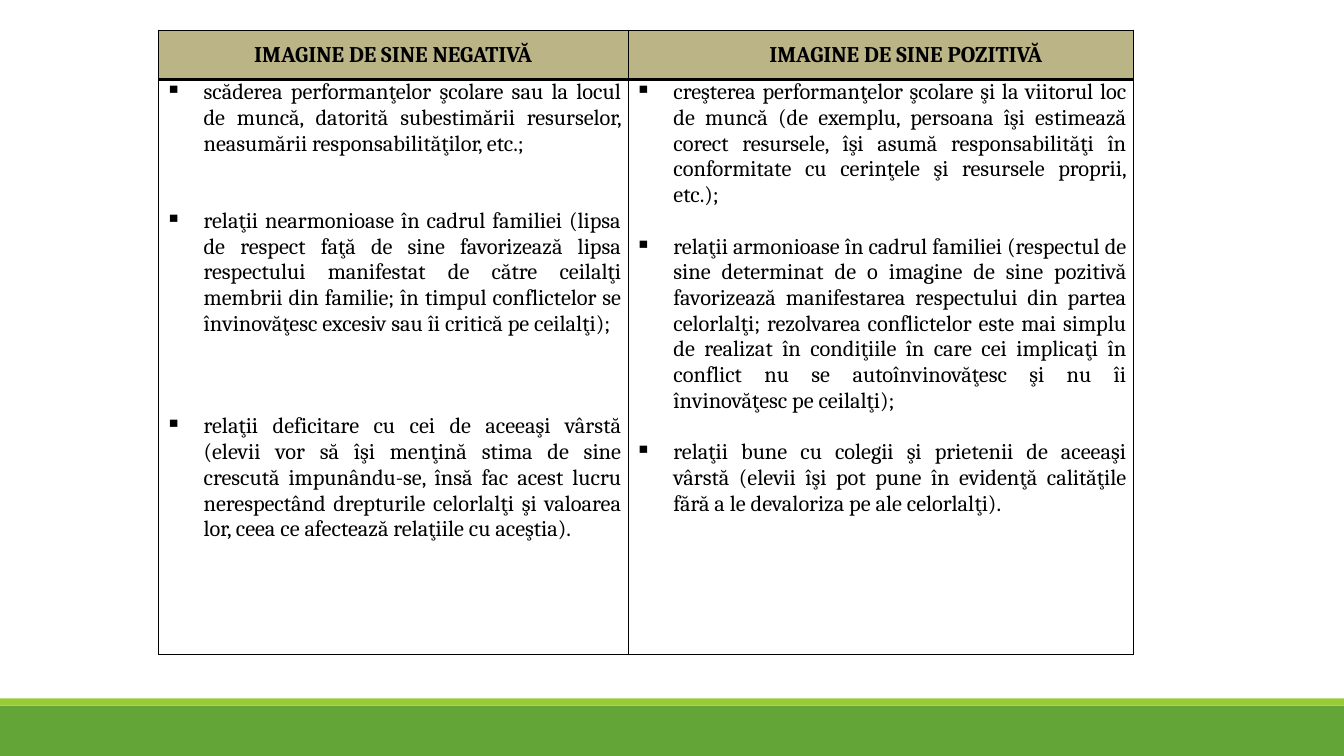
"""Build a slide comparing negative and positive self-image."""
from dataclasses import dataclass

from lxml import etree
from pptx import Presentation
from pptx import util as u
from pptx.dml.color import RGBColor
from pptx.enum import shapes, text
from pptx.oxml.ns import qn

COLORS = {"green": "63A537", "lime": "99CB38", "khaki": "BBB487",
          "white": "FFFFFF", "black": "000000"}
FONT = "Cambria"
FONT_SIZE = 16
LINE_PITCH = 18.35
HANGING = 0.38
ROW_HEIGHTS = (0.49, 5.7)


@dataclass
class Band:
    top: float
    height: float
    color: str


@dataclass
class Bullet:
    text: str
    lines_before: int = 0


@dataclass
class Column:
    heading: str
    width: float
    heading_indent: float
    bullets: list[Bullet]


BANDS = [Band(7, 0.5, "green"), Band(6.93, 0.07, "lime")]

COLUMNS = [
    Column("IMAGINE DE SINE NEGATIVĂ", 4.66, 0, [
        Bullet("scăderea performanţelor şcolare sau la locul de muncă, datorită "
               "subestimării resurselor, neasumării responsabilităţilor, etc.;"),
        Bullet("relaţii nearmonioase în cadrul familiei (lipsa de respect faţă de sine "
               "favorizează lipsa respectului manifestat de către ceilalţi membrii din "
               "familie; în timpul conflictelor se învinovăţesc excesiv sau îi critică "
               "pe ceilalţi);", 2),
        Bullet("relaţii deficitare cu cei de aceeaşi vârstă (elevii vor să îşi menţină "
               "stima de sine crescută impunându-se, însă fac acest lucru nerespectând "
               "drepturile celorlalţi şi valoarea lor, ceea ce afectează relaţiile cu "
               "aceştia).", 3),
    ]),
    Column("IMAGINE DE SINE POZITIVĂ", 5.01, 0.5, [
        Bullet("creşterea performanţelor şcolare şi la viitorul loc de muncă (de exemplu, "
               "persoana îşi estimează corect resursele, îşi asumă responsabilităţi în "
               "conformitate cu cerinţele şi resursele proprii, etc.);"),
        Bullet("relaţii armonioase în cadrul familiei (respectul de sine determinat de o "
               "imagine de sine pozitivă favorizează manifestarea respectului din partea "
               "celorlalţi; rezolvarea conflictelor este mai simplu de realizat în "
               "condiţiile în care cei implicaţi în conflict nu se autoînvinovăţesc şi "
               "nu îi învinovăţesc pe ceilalţi);", 1),
        Bullet("relaţii bune cu colegii şi prietenii de aceeaşi vârstă (elevii îşi pot "
               "pune în evidenţă calităţile fără a le devaloriza pe ale celorlalţi).", 1),
    ]),
]


def rgb(name: str) -> RGBColor:
    """Return the named colour."""
    return RGBColor.from_string(COLORS[name])


def add_band(s, band: Band, width: int) -> None:
    """Draw one full-width strip."""
    sp = s.shapes.add_shape(shapes.MSO_SHAPE.RECTANGLE, 0, u.Inches(band.top),
                            width, u.Inches(band.height))
    sp.shadow.inherit = False
    sp.fill.solid()
    sp.fill.fore_color.rgb = rgb(band.color)
    sp.line.fill.background()


def format_cell(cell, fill: str, top: float, bottom: float) -> None:
    """Set the borders, margins and fill of a cell."""
    tc_pr = cell._tc.get_or_add_tcPr()
    for side, width in {"L": 1, "R": 1, "T": top, "B": bottom}.items():
        ln = etree.SubElement(tc_pr, qn(f"a:ln{side}"), w=str(u.Pt(width)))
        solid = etree.SubElement(ln, qn("a:solidFill"))
        etree.SubElement(solid, qn("a:srgbClr"), val=COLORS["black"])
    cell.margin_left = cell.margin_right = u.Inches(0.07)
    cell.margin_top = cell.margin_bottom = 0
    cell.fill.solid()
    cell.fill.fore_color.rgb = rgb(fill)


def format_paragraph(p, align: text.PP_ALIGN, bold: bool, margin: float,
                     indent: float) -> None:
    """Set the alignment, indents and font of a paragraph."""
    p.alignment = align
    p_pr = p._p.get_or_add_pPr()
    p_pr.set("marL", str(u.Inches(margin)))
    p_pr.set("indent", str(u.Inches(indent)))
    for r in p.runs:
        r.font.name = FONT
        r.font.size = u.Pt(FONT_SIZE)
        r.font.bold = bold
        r.font.color.rgb = rgb("black")


def fill_heading(cell, column: Column) -> None:
    """Write a column heading."""
    format_cell(cell, "khaki", 1, 3)
    cell.vertical_anchor = text.MSO_ANCHOR.MIDDLE
    cell.text_frame.text = column.heading
    format_paragraph(cell.text_frame.paragraphs[0], text.PP_ALIGN.CENTER, True,
                     0, column.heading_indent)


def fill_bullets(cell, bullets: list[Bullet]) -> None:
    """Write a justified bullet list."""
    format_cell(cell, "white", 3, 1)
    tf = cell.text_frame
    for i, bullet in enumerate(bullets):
        p = tf.add_paragraph() if i else tf.paragraphs[0]
        p.text = bullet.text
        format_paragraph(p, text.PP_ALIGN.JUSTIFY, False, HANGING, -HANGING)
        etree.SubElement(p._p.get_or_add_pPr(), qn("a:buChar"), char="▪")
        p.space_before = u.Pt(bullet.lines_before * LINE_PITCH)


def add_comparison(s, columns: list[Column]) -> None:
    """Draw the comparison table."""
    width = sum(column.width for column in columns)
    frame = s.shapes.add_table(2, len(columns), u.Inches(1.57), u.Inches(0.3),
                               u.Inches(width), u.Inches(sum(ROW_HEIGHTS)))
    table = frame.table
    table.first_row = table.horz_banding = False
    for row, height in zip(table.rows, ROW_HEIGHTS):
        row.height = u.Inches(height)
    for i, column in enumerate(columns):
        table.columns[i].width = u.Inches(column.width)
        fill_heading(table.cell(0, i), column)
        fill_bullets(table.cell(1, i), column.bullets)


def main() -> None:
    """Create and save the presentation."""
    prs = Presentation()
    prs.slide_width, prs.slide_height = u.Inches(13.33), u.Inches(7.5)
    s = prs.slides.add_slide(prs.slide_layouts[6])
    for band in BANDS:
        add_band(s, band, prs.slide_width)
    add_comparison(s, COLUMNS)
    prs.save("out.pptx")


if __name__ == "__main__":
    main()
